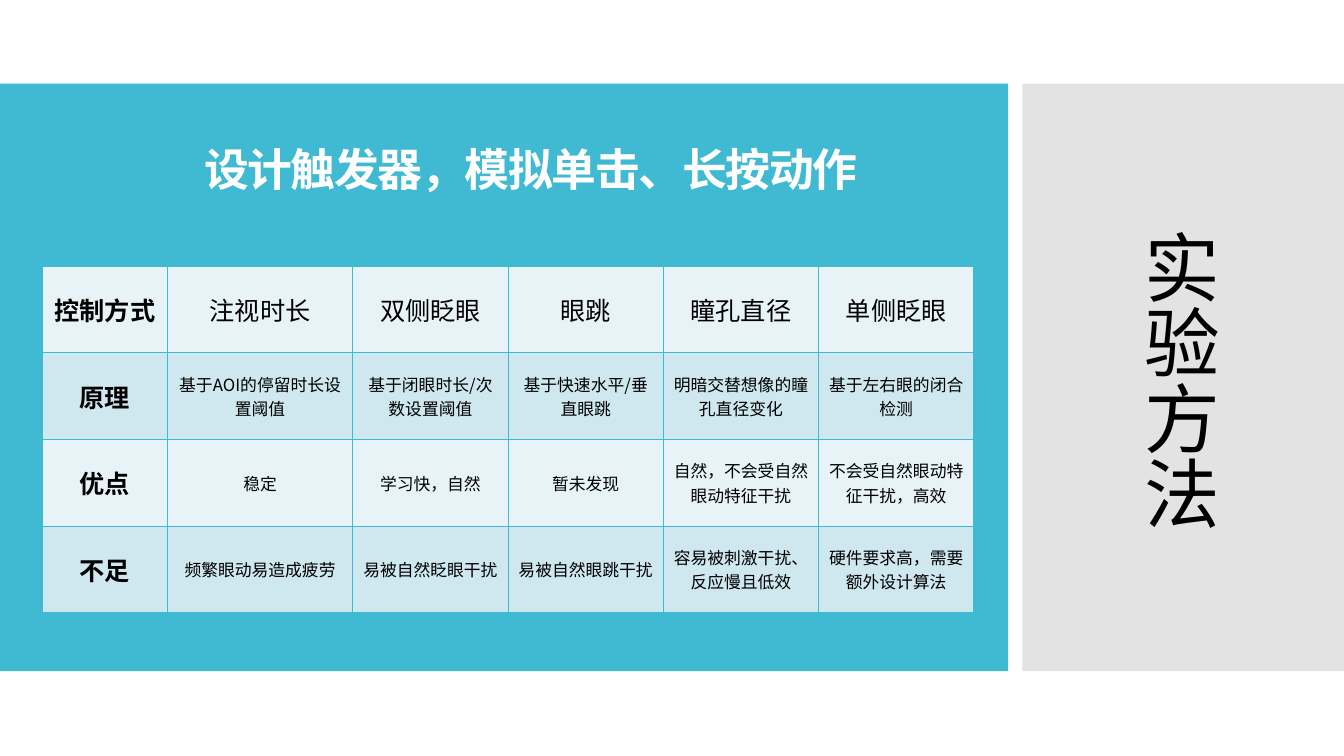
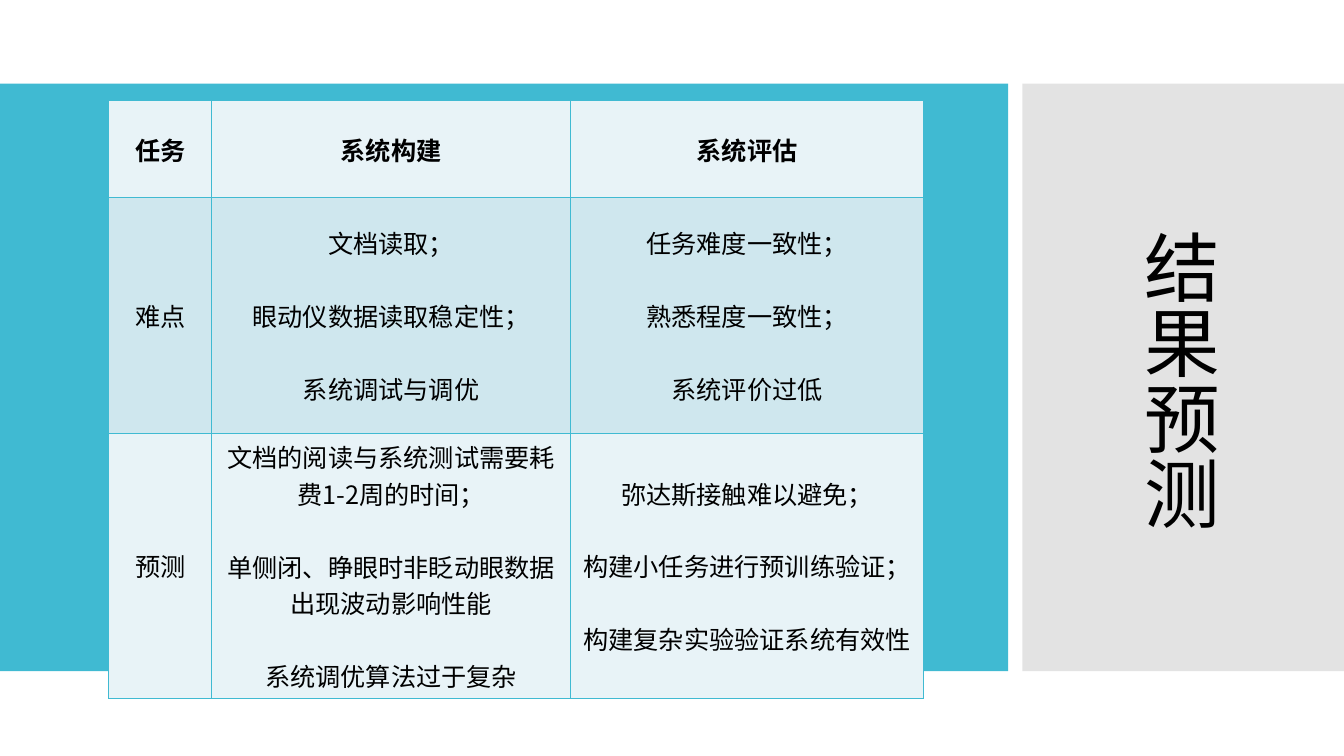
from lxml.etree import SubElement
from pptx import Presentation
from pptx.dml.color import RGBColor
from pptx.enum.shapes import MSO_SHAPE
from pptx.enum.text import MSO_ANCHOR, PP_ALIGN
from pptx.oxml import parse_xml
from pptx.oxml.ns import qn
from pptx.util import Inches, Pt

# Content
HEAD = "设计触发器，模拟单击、长按动作"
METHODS = [
    ["控制方式", "注视时长", "双侧眨眼", "眼跳", "瞳孔直径", "单侧眨眼"],
    ["原理", "基于AOI的停留时长设置阈值", "基于闭眼时长/次数设置阈值",
     "基于快速水平/垂直眼跳", "明暗交替想像的瞳孔直径变化", "基于左右眼的闭合检测"],
    ["优点", "稳定", "学习快，自然", "暂未发现",
     "自然，不会受自然眼动特征干扰", "不会受自然眼动特征干扰，高效"],
    ["不足", "频繁眼动易造成疲劳", "易被自然眨眼干扰", "易被自然眼跳干扰",
     "容易被刺激干扰、反应慢且低效", "硬件要求高，需要额外设计算法"],
]
RESULTS = [
    ["任务", "系统构建", "系统评估"],
    ["难点", "文档读取；\n眼动仪数据读取稳定性；\n系统调试与调优",
     "任务难度一致性；\n熟悉程度一致性；\n系统评价过低"],
    ["预测", "文档的阅读与系统测试需要耗费1-2周的时间；\n"
     "单侧闭、睁眼时非眨动眼数据出现波动影响性能\n系统调优算法过于复杂",
     "弥达斯接触难以避免；\n构建小任务进行预训练验证；\n构建复杂实验验证系统有效性"],
]

# Shared style
TEAL = RGBColor(0x40, 0xBA, 0xD2)
GREY = RGBColor(0xC8, 0xC8, 0xC8)
BLACK = RGBColor(0, 0, 0)
WHITE = RGBColor(255, 255, 255)
BANDS = [RGBColor(0xE8, 0xF3, 0xF7), RGBColor(0xCF, 0xE7, 0xEE)]
CJK = "Noto Sans CJK SC"
NS = "http://schemas.openxmlformats.org/drawingml/2006/main"
GAP = Pt(26)

deck = Presentation()
deck.slide_width, deck.slide_height = Inches(13.33), Inches(7.5)


def style(para, size, color=BLACK, bold=False, face=CJK):
    para.alignment = PP_ALIGN.CENTER
    for run in para.runs:
        font = run.font
        font.size, font.bold, font.name = Pt(size), bold, face
        font.color.rgb = color
        SubElement(font._element, qn("a:ea")).set("typeface", CJK)


def panel(slide, left, width, color):
    box = slide.shapes.add_shape(MSO_SHAPE.RECTANGLE, Inches(left), Inches(0.83),
                                 Inches(width), Inches(5.83))
    box.shadow.inherit = False
    box.fill.solid()
    box.fill.fore_color.rgb = color
    box.line.fill.background()
    return box


def add_page(name):
    """Teal panel, half-clear grey panel and vertical title."""
    slide = deck.slides.add_slide(deck.slide_layouts[6])
    panel(slide, 0, 10, TEAL)
    side = panel(slide, 10.14, 3.2, GREY)
    tint = side._element.spPr.find(qn("a:solidFill"))[0]
    SubElement(tint, qn("a:alpha")).set("val", "50000")
    box = slide.shapes.add_textbox(Inches(11.09), Inches(2.18), Inches(1.11), Inches(3.13))
    frame = box.text_frame
    frame.word_wrap = False
    frame._txBody.bodyPr.set("vert", "eaVert")
    frame.text = name
    style(frame.paragraphs[0], 54, face="Calibri")
    return slide


def edge(cell):
    props = cell._tc.get_or_add_tcPr()
    for i, side in enumerate("LRTB"):
        props.insert(i, parse_xml(
            f'<a:ln{side} xmlns:a="{NS}" w="12700"><a:solidFill>'
            f'<a:srgbClr val="{TEAL}"/></a:solidFill></a:ln{side}>'))


def add_grid(slide, left, top, wides, highs, data, look):
    """Banded table; look(row, col) gives text size and bold."""
    grid = slide.shapes.add_table(len(highs), len(wides), Inches(left), Inches(top),
                                  Inches(sum(wides)), Inches(sum(highs))).table
    grid.first_row = grid.horz_banding = False
    for col, wide in zip(grid.columns, wides):
        col.width = Inches(wide)
    for r, high in enumerate(highs):
        grid.rows[r].height = Inches(high)
        for c, words in enumerate(data[r]):
            cell = grid.cell(r, c)
            cell.fill.solid()
            cell.fill.fore_color.rgb = BANDS[r % 2]
            cell.vertical_anchor = MSO_ANCHOR.MIDDLE
            edge(cell)
            cell.text_frame.text = words
            size, bold = look(r, c)
            for i, para in enumerate(cell.text_frame.paragraphs):
                style(para, size, bold=bold)
                if i:
                    para.space_before = GAP


# Slide 1: methods
page = add_page("实验方法")
box = page.shapes.add_textbox(Inches(0.85), Inches(1.42), Inches(8.83), Inches(0.96))
frame = box.text_frame
frame.word_wrap = True
frame.text = HEAD
para = frame.paragraphs[0]
para.line_spacing = 0.9
style(para, 32, WHITE, True)
para.runs[0].font._element.set("spc", "-100")
add_grid(page, 0.42, 2.64, [1.24, 1.84] + [1.54] * 4, [0.86] * 4, METHODS,
         lambda r, c: (12 if r and c else 18, c == 0))

# Slide 2: results
page = add_page("结果预测")
add_grid(page, 1.08, 1, [1.02, 3.56, 3.5], [0.96, 2.34, 2.63], RESULTS,
         lambda r, c: (18, r == 0))

deck.save("out.pptx")
